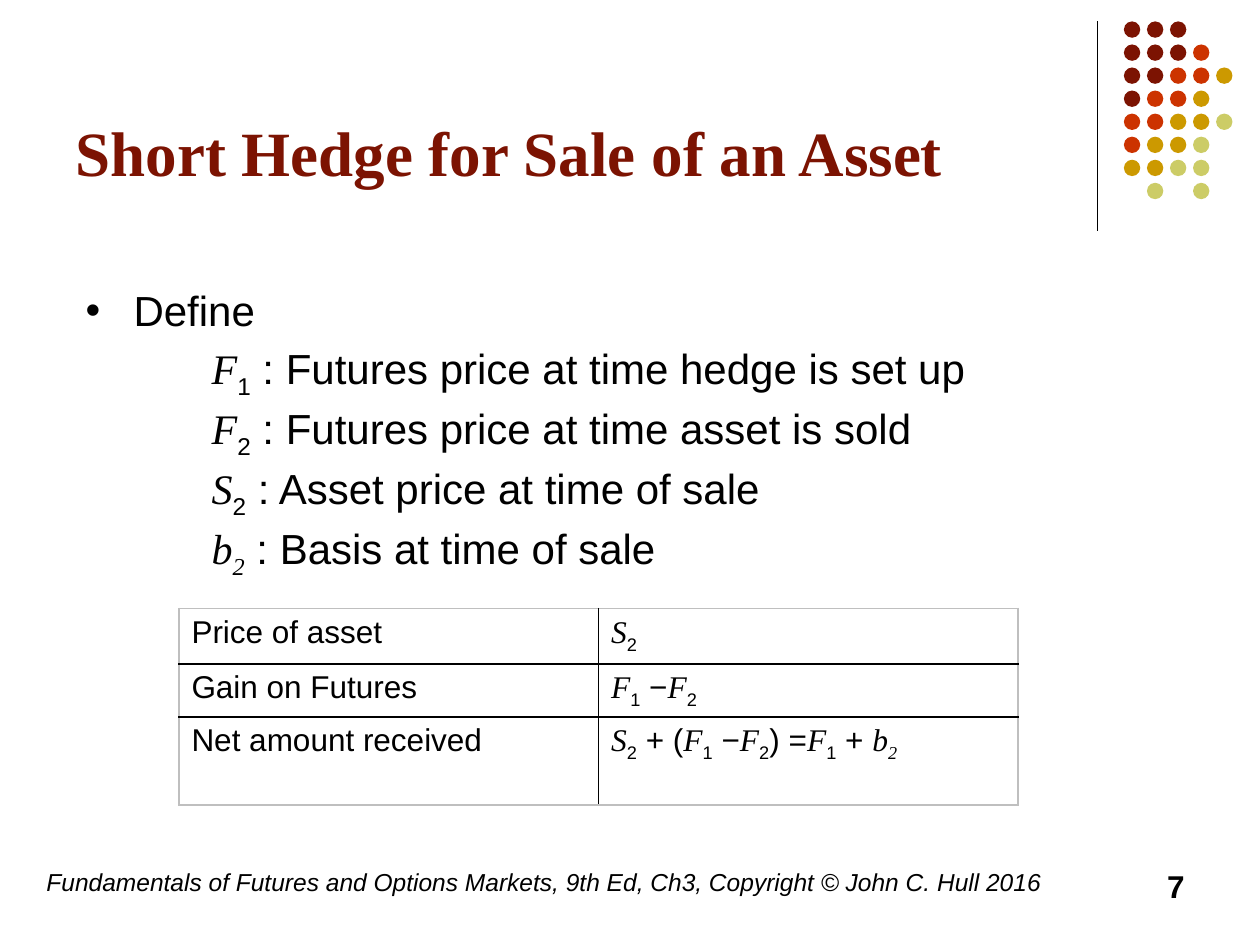
from pptx import Presentation
from pptx.dml.color import RGBColor
from pptx.enum.shapes import MSO_CONNECTOR, MSO_SHAPE
from pptx.enum.text import MSO_ANCHOR, MSO_AUTO_SIZE, PP_ALIGN
from pptx.oxml.ns import qn
from pptx.util import Inches, Pt
from lxml.etree import SubElement

BLACK = RGBColor(0x00, 0x00, 0x00)
GREY = RGBColor(0xBF, 0xBF, 0xBF)
MAROON = RGBColor(0x7C, 0x13, 0x02)
RED = RGBColor(0xCC, 0x33, 0x00)
GOLD = RGBColor(0xCC, 0x99, 0x00)
OLIVE = RGBColor(0xCC, 0xCC, 0x66)

SANS, SERIF = "Arial", "Times New Roman"

# Formula spans: (text, is serif italic, is subscript)
F1 = [("F", True, False), ("1", False, True)]
F2 = [("F", True, False), ("2", False, True)]
S2 = [("S", True, False), ("2", False, True)]
B2 = [("b", True, False), ("2", True, True)]


def plain(text):
    return [(text, False, False)]


DEFINITIONS = [
    (F1, "Futures price at time hedge is set up"),
    (F2, "Futures price at time asset is sold"),
    (S2, "Asset price at time of sale"),
    (B2, "Basis at time of sale"),
]
GAIN = F1 + plain(" −") + F2
TABLE_ROWS = [
    ("Price of asset", S2),
    ("Gain on Futures", GAIN),
    ("Net amount received",
     S2 + plain(" + (") + GAIN + plain(") =") + F1 + plain(" + ") + B2),
]

DOT_COLORS = {"M": MAROON, "R": RED, "G": GOLD, "O": OLIVE}
DOT_ROWS = ["MMM", "MMMR", "MMRRG", "MRRG", "RRGGO", "RGGO", "GGOO", " O O"]


class HedgeSlide:
    def __init__(self, deck):
        self.page = deck.slides.add_slide(deck.slide_layouts[1])

    def style(self, para, size, color=BLACK, name=SANS, bold=False, italic=False):
        font = para.font
        font.size, font.name = Pt(size), name
        font.bold, font.italic = bold, italic
        font.color.rgb = color

    def place(self, shape, left, top, width, height):
        shape.left, shape.top = Inches(left), Inches(top)
        shape.width, shape.height = Inches(width), Inches(height)

    def formula(self, para, spans):
        for text, is_variable, is_subscript in spans:
            span = para.add_run()
            span.text = text
            if is_variable:
                span.font.name, span.font.italic = SERIF, True
            if is_subscript:
                span._r.get_or_add_rPr().set("baseline", "-25000")

    def title(self, text, *place):
        box = self.page.shapes.title
        self.place(box, *place)
        frame = box.text_frame
        frame.auto_size = MSO_AUTO_SIZE.NONE
        frame.vertical_anchor = MSO_ANCHOR.BOTTOM
        frame.text = text
        para = frame.paragraphs[0]
        para.alignment = PP_ALIGN.LEFT
        self.style(para, 36, MAROON, SERIF, bold=True)

    def list_item(self, para, spans, margin, indent, bullet=None):
        props = para._p.get_or_add_pPr()
        props.set("marL", str(Inches(margin)))
        props.set("indent", str(Inches(indent)))
        para.line_spacing = 0.9
        if bullet:
            SubElement(props, qn("a:buChar")).set("char", bullet)
        else:
            SubElement(props, qn("a:buNone"))
        self.style(para, 24)
        self.formula(para, spans)

    def definitions(self, heading, items, *place):
        box = self.page.placeholders[1]
        self.place(box, *place)
        frame = box.text_frame
        frame.auto_size = MSO_AUTO_SIZE.NONE
        first = frame.paragraphs[0]
        first.space_before = Pt(0)
        self.list_item(first, plain(heading), 0.38, -0.38, "•")
        for symbol, meaning in items:
            para = frame.add_paragraph()
            para.level = 2
            para.space_before = Pt(4.8)
            self.list_item(para, symbol + plain(" : " + meaning), 1.25, -0.25)

    def label(self, text, place, size, align=PP_ALIGN.LEFT, **look):
        box = self.page.shapes.add_textbox(*(Inches(v) for v in place))
        box.text_frame.word_wrap = True
        para = box.text_frame.paragraphs[0]
        para.text = text
        para.alignment = align
        self.style(para, size, **look)

    def rule(self, x, top, bottom):
        line = self.page.shapes.add_connector(
            MSO_CONNECTOR.STRAIGHT, Inches(x), Inches(top), Inches(x), Inches(bottom))
        line.line.color.rgb = BLACK
        line.line.width = Pt(0.75)
        SubElement(line._element.spPr, qn("a:effectLst"))

    def dots(self, left, top, pitch, size):
        for row, codes in enumerate(DOT_ROWS):
            for col, code in enumerate(codes):
                if code == " ":
                    continue
                dot = self.page.shapes.add_shape(
                    MSO_SHAPE.OVAL, Inches(left + col * pitch),
                    Inches(top + row * pitch), Inches(size), Inches(size))
                dot.shadow.inherit = False
                dot.fill.solid()
                dot.fill.fore_color.rgb = DOT_COLORS[code]
                dot.line.fill.background()

    def border(self, cell, side, color):
        line = SubElement(cell._tc.get_or_add_tcPr(), qn("a:ln" + side))
        line.set("w", str(Pt(1)))
        fill = SubElement(line, qn("a:solidFill"))
        SubElement(fill, qn("a:srgbClr")).set("val", str(color))

    def table(self, rows, left, top, col_width, heights):
        last = len(rows) - 1
        grid = self.page.shapes.add_table(
            len(rows), 2, Inches(left), Inches(top),
            Inches(2 * col_width), Inches(sum(heights))).table
        grid.first_row = grid.horz_banding = False
        for column in grid.columns:
            column.width = Inches(col_width)
        for r, (name, value) in enumerate(rows):
            grid.rows[r].height = Inches(heights[r])
            for c, spans in enumerate((plain(name), value)):
                cell = grid.cell(r, c)
                outer = {"L": c == 0, "R": c == 1, "T": r == 0, "B": r == last}
                for side, is_outer in outer.items():
                    self.border(cell, side, GREY if is_outer else BLACK)
                cell.fill.background()
                para = cell.text_frame.paragraphs[0]
                self.style(para, 18)
                self.formula(para, spans)


def main():
    deck = Presentation()
    deck.slide_width, deck.slide_height = Inches(10), Inches(7.5)
    slide = HedgeSlide(deck)

    # Corner decoration
    slide.rule(8.71, 0.17, 1.83)
    slide.dots(8.92, 0.17, 0.183, 0.13)

    # Title and definitions
    slide.title("Short Hedge for Sale of an Asset", 0.5, 0.13, 8.25, 1.42)
    slide.definitions("Define", DEFINITIONS, 0.58, 2.25, 8.69, 4.09)

    # Cash flow table
    slide.table(TABLE_ROWS, 1.42, 4.83, 3.33, [0.44, 0.42, 0.7])

    # Footer and page number
    slide.label("Fundamentals of Futures and Options Markets, 9th Ed, Ch3, "
                "Copyright © John C. Hull 2016", (0.27, 6.83, 8.27, 0.5), 14, italic=True)
    slide.label("7", (7.17, 6.83, 2.33, 0.5), 18, PP_ALIGN.RIGHT, bold=True)

    deck.save("out.pptx")


if __name__ == "__main__":
    main()
